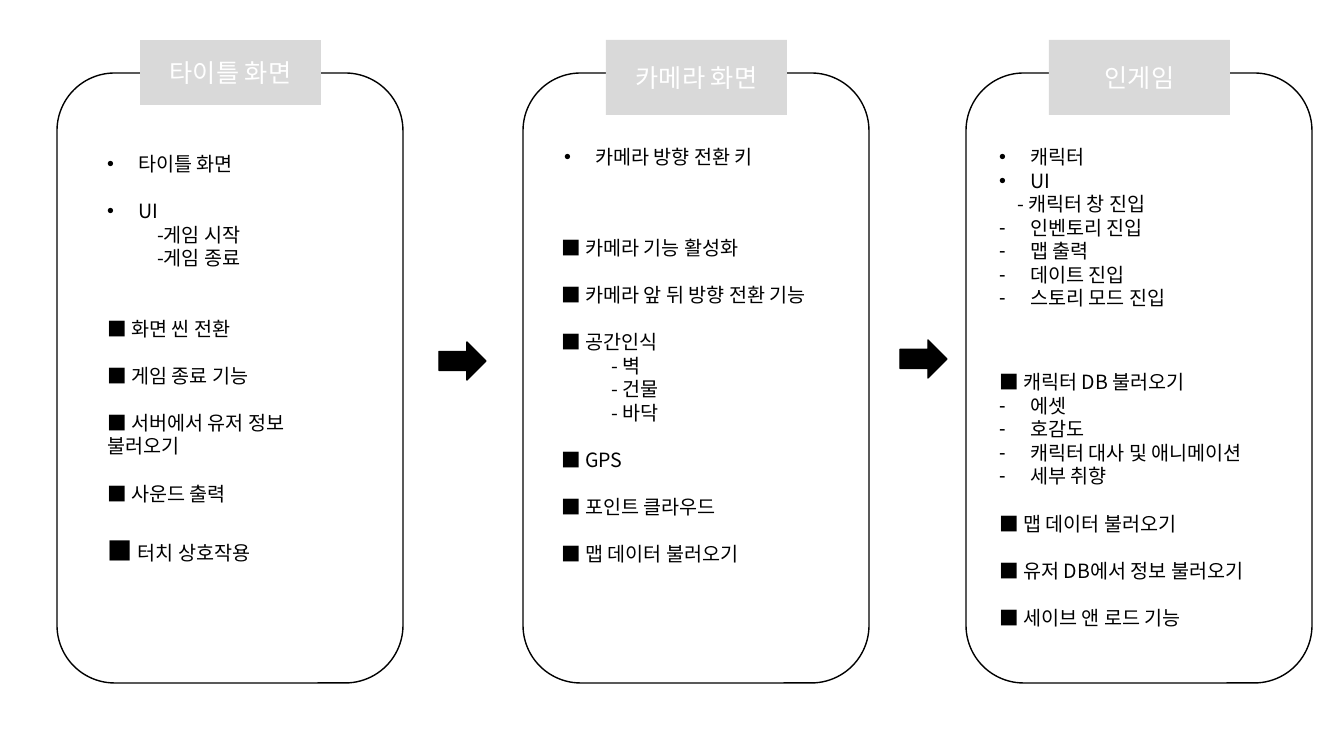
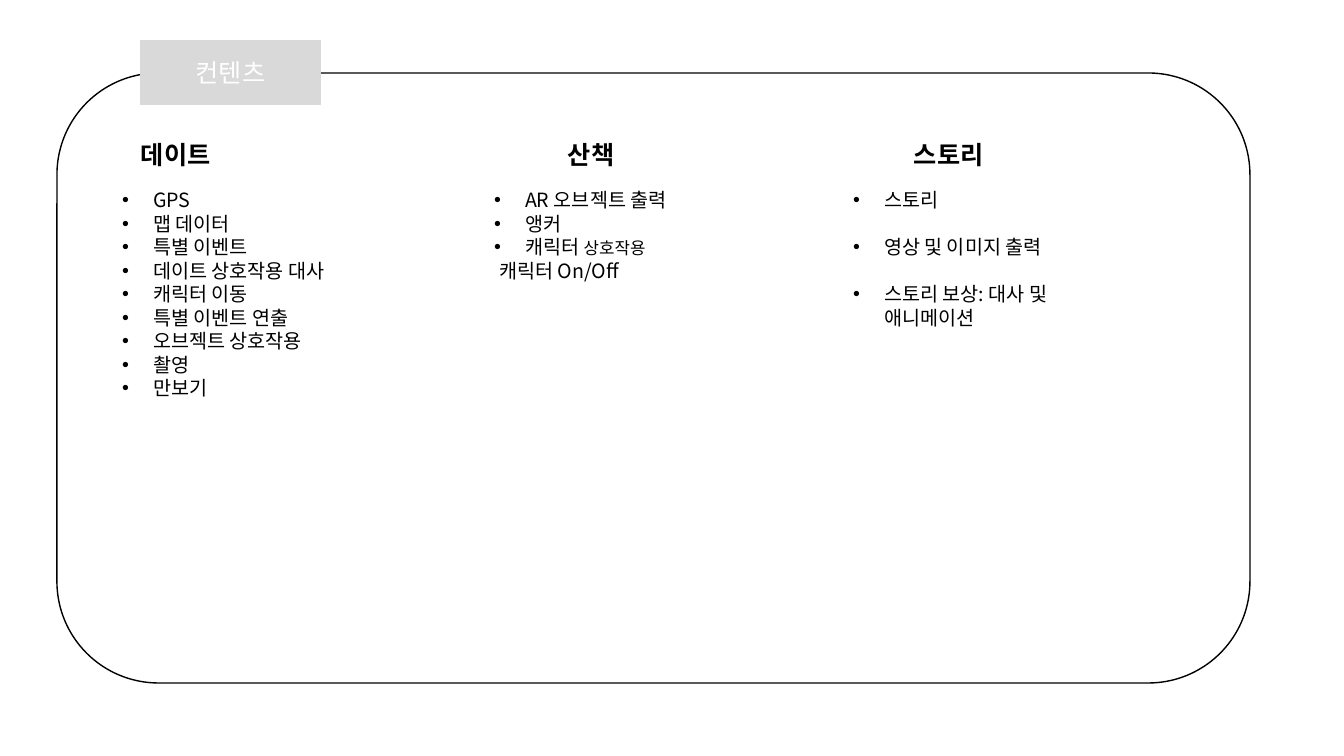
from lxml import etree
from pptx import Presentation
from pptx.dml.color import RGBColor
from pptx.enum.shapes import MSO_SHAPE
from pptx.enum.text import MSO_ANCHOR, MSO_AUTO_SIZE, PP_ALIGN
from pptx.oxml.ns import qn
from pptx.util import Emu, Pt

RECTANGLE = MSO_SHAPE.RECTANGLE
ROUNDED = MSO_SHAPE.ROUNDED_RECTANGLE
ARROW = MSO_SHAPE.RIGHT_ARROW
TOP, MIDDLE = MSO_ANCHOR.TOP, MSO_ANCHOR.MIDDLE
LEFT, CENTER = PP_ALIGN.LEFT, PP_ALIGN.CENTER
NO_AUTOFIT = MSO_AUTO_SIZE.NONE

# Shared style
SCALE = 914400 / 100.8
SLIDE_SIZE = (1344, 756)
FONT = "Noto Sans CJK KR"
BLACK, WHITE, GREY = "000000", "FFFFFF", "D9D9D9"
BODY_SIZE, HEADING_SIZE = 14, 18
LINE_RATIO = 1.2
COMPARISON_LAYOUT = 4
PANEL_TOP, PANEL_HEIGHT, PANEL_WIDTH = 73, 610, 346
TAB_TOP, TAB_OFFSET, TAB_WIDTH = 40, 83, 181

# Line kinds: left margin, first-line indent, bullet
KINDS = {
    "plain": (0, 0, None),
    "dot": (31, -31, "•"),
    "dash": (31, -31, "-"),
    "sub": (50, 0, None),
    "inset": (18, 0, None),
    "nudge": (5, 0, None),
}

# Lists: kind, text or sized runs, gap above in lines
TITLE_SCREEN = [
    ("dot", "타이틀 화면", 0),
    ("dot", "UI", 1),
    ("sub", "-게임 시작", 0),
    ("sub", "-게임 종료", 0),
    ("plain", "■ 화면 씬 전환", 2),
    ("plain", "■ 게임 종료 기능", 1),
    ("plain", "■ 서버에서 유저 정보\v불러오기", 1),
    ("plain", "■ 사운드 출력", 1),
    ("plain", [("■ ", HEADING_SIZE), ("터치 상호작용", BODY_SIZE)], 1.29),
]
CAMERA_KEYS = [("dot", "카메라 방향 전환 키", 0)]
CAMERA_FEATURES = [
    ("plain", "■ 카메라 기능 활성화", 0),
    ("plain", "■ 카메라 앞 뒤 방향 전환 기능", 1),
    ("plain", "■ 공간인식", 1),
    ("sub", "- 벽", 0),
    ("sub", "- 건물", 0),
    ("sub", "- 바닥", 0),
    ("plain", "■ GPS", 1),
    ("plain", "■ 포인트 클라우드", 1),
    ("plain", "■ 맵 데이터 불러오기", 1),
]
IN_GAME = [
    ("dot", "캐릭터", 0),
    ("dot", "UI", 0),
    ("inset", "- 캐릭터 창 진입", 0),
    ("dash", "인벤토리 진입", 0),
    ("dash", "맵 출력", 0),
    ("dash", "데이트 진입", 0),
    ("dash", "스토리 모드 진입", 0),
    ("plain", "■ 캐릭터 DB 불러오기", 2.57),
    ("dash", "에셋", 0),
    ("dash", "호감도", 0),
    ("dash", "캐릭터 대사 및 애니메이션", 0),
    ("dash", "세부 취향", 0),
    ("plain", "■ 맵 데이터 불러오기", 1),
    ("plain", "■ 유저 DB에서 정보 불러오기", 1),
    ("plain", "■ 세이브 앤 로드 기능", 1),
]
DATE = [("dot", text, 0) for text in (
    "GPS", "맵 데이터", "특별 이벤트", "데이트 상호작용 대사", "캐릭터 이동",
    "특별 이벤트 연출", "오브젝트 상호작용", "촬영", "만보기")]
WALK = [
    ("dot", "AR 오브젝트 출력", 0),
    ("dot", "앵커", 0),
    ("dot", [("캐릭터 ", BODY_SIZE), ("상호작용", 12)], 0),
    ("nudge", "캐릭터 On/Off", 0),
]
STORY = [
    ("dot", "스토리", 0),
    ("dot", "영상 및 이미지 출력", 1),
    ("dot", "스토리 보상: 대사 및 애니메이션", 1),
]


def px(value):
    return Emu(round(value * SCALE))


def color(hex_value):
    return RGBColor.from_string(hex_value)


def apply(target, values):
    for name, value in values.items():
        setattr(target, name, value)


def place(shape, box):
    """Set the position and size, and bring the shape to the front."""
    apply(shape, dict(zip(("left", "top", "width", "height"), map(px, box))))
    shape.element.getparent().append(shape.element)


def prepare_frame(shape, anchor):
    apply(shape.text_frame, {"word_wrap": True, "auto_size": NO_AUTOFIT,
                             "vertical_anchor": anchor})
    return shape.text_frame


def set_bullet(paragraph, kind):
    margin, indent, bullet = KINDS[kind]
    properties = paragraph._p.get_or_add_pPr()
    properties.set("marL", str(px(margin)))
    properties.set("indent", str(px(indent)))
    if bullet:
        etree.SubElement(properties, qn("a:buFont")).set("typeface", "Arial")
        etree.SubElement(properties, qn("a:buChar")).set("char", bullet)
    else:
        etree.SubElement(properties, qn("a:buNone"))


def add_run(paragraph, text, size, hex_value, bold):
    run = paragraph.add_run()
    run.text = text
    run.font.color.rgb = color(hex_value)
    apply(run.font, {"name": FONT, "size": Pt(size), "bold": bold})
    east_asian = etree.SubElement(run.font._element, qn("a:ea"))
    east_asian.set("typeface", FONT)


def write(paragraph, content, kind="plain", gap=0, size=BODY_SIZE,
          hex_value=BLACK, bold=False, align=LEFT):
    runs = [(content, size)] if isinstance(content, str) else content
    tallest = max(run_size for _, run_size in runs)
    apply(paragraph, {"alignment": align,
                      "line_spacing": Pt(tallest * LINE_RATIO),
                      "space_before": Pt(gap * BODY_SIZE * LINE_RATIO),
                      "space_after": Pt(0)})
    set_bullet(paragraph, kind)
    for text, run_size in runs:
        for index, part in enumerate(text.split("\v")):
            if index:
                paragraph.add_line_break()
            add_run(paragraph, part, run_size, hex_value, bold)


def add_block(slide, preset, box, fill=None, line=None):
    shape = slide.shapes.add_shape(preset, *map(px, box))
    shape.shadow.inherit = False
    if fill:
        shape.fill.solid()
        shape.fill.fore_color.rgb = color(fill)
    else:
        shape.fill.background()
    if line:
        shape.line.color.rgb = color(line)
        shape.line.width = Pt(1)
    else:
        shape.line.fill.background()
    return shape


def add_panel(slide, left, text, tab_height, width=PANEL_WIDTH, is_title=False):
    """Rounded outline with a grey tab on its top edge."""
    add_block(slide, ROUNDED, (left, PANEL_TOP, width, PANEL_HEIGHT), line=BLACK)
    box = (left + TAB_OFFSET, TAB_TOP, TAB_WIDTH, tab_height)
    if is_title:
        tab = slide.shapes.title
        place(tab, box)
        tab.fill.solid()
        tab.fill.fore_color.rgb = color(GREY)
    else:
        tab = add_block(slide, RECTANGLE, box, fill=GREY)
    write(prepare_frame(tab, MIDDLE).paragraphs[0], text, size=HEADING_SIZE,
          hex_value=WHITE, align=CENTER)


def fill_list(placeholder, box, lines):
    place(placeholder, box)
    frame = prepare_frame(placeholder, TOP)
    for index, (kind, content, gap) in enumerate(lines):
        paragraph = frame.add_paragraph() if index else frame.paragraphs[0]
        write(paragraph, content, kind, gap)


def fill_lists(slide, lists):
    """Put each list in a body placeholder and remove those left over."""
    title = slide.shapes.title
    bodies = [body for body in slide.placeholders
              if body.shape_id != title.shape_id]
    for body, (box, lines) in zip(bodies, lists):
        fill_list(body, box, lines)
    for body in bodies[len(lists):]:
        body.element.getparent().remove(body.element)


def add_heading(slide, left, text):
    heading = slide.shapes.add_textbox(*map(px, (left, 134, 190, 40)))
    write(prepare_frame(heading, TOP).paragraphs[0], text,
          size=HEADING_SIZE, bold=True)


def build_screens(slide):
    add_panel(slide, 57, "타이틀 화면", 65, is_title=True)
    add_panel(slide, 523, "카메라 화면", 75)
    add_panel(slide, 966, "인게임", 75)
    for left, top in ((439, 342), (900, 340)):
        add_block(slide, ARROW, (left, top, 47, 38), fill=BLACK, line=BLACK)
    fill_lists(slide, [
        ((97, 147, 283, 427), TITLE_SCREEN),
        ((554, 140, 283, 34), CAMERA_KEYS),
        ((551, 231, 283, 367), CAMERA_FEATURES),
        ((989, 140, 303, 529), IN_GAME),
    ])


def build_contents(slide):
    add_panel(slide, 57, "컨텐츠", 65, width=1193, is_title=True)
    fill_lists(slide, [
        ((112, 183, 283, 400), DATE),
        ((484, 183, 283, 258), WALK),
        ((843, 183, 283, 336), STORY),
    ])
    for left, text in ((131, "데이트"), (558, "산책"), (904, "스토리")):
        add_heading(slide, left, text)


def main():
    presentation = Presentation()
    presentation.slide_width, presentation.slide_height = map(px, SLIDE_SIZE)
    layout = presentation.slide_layouts[COMPARISON_LAYOUT]
    for build in (build_screens, build_contents):
        build(presentation.slides.add_slide(layout))
    presentation.save("out.pptx")


main()
